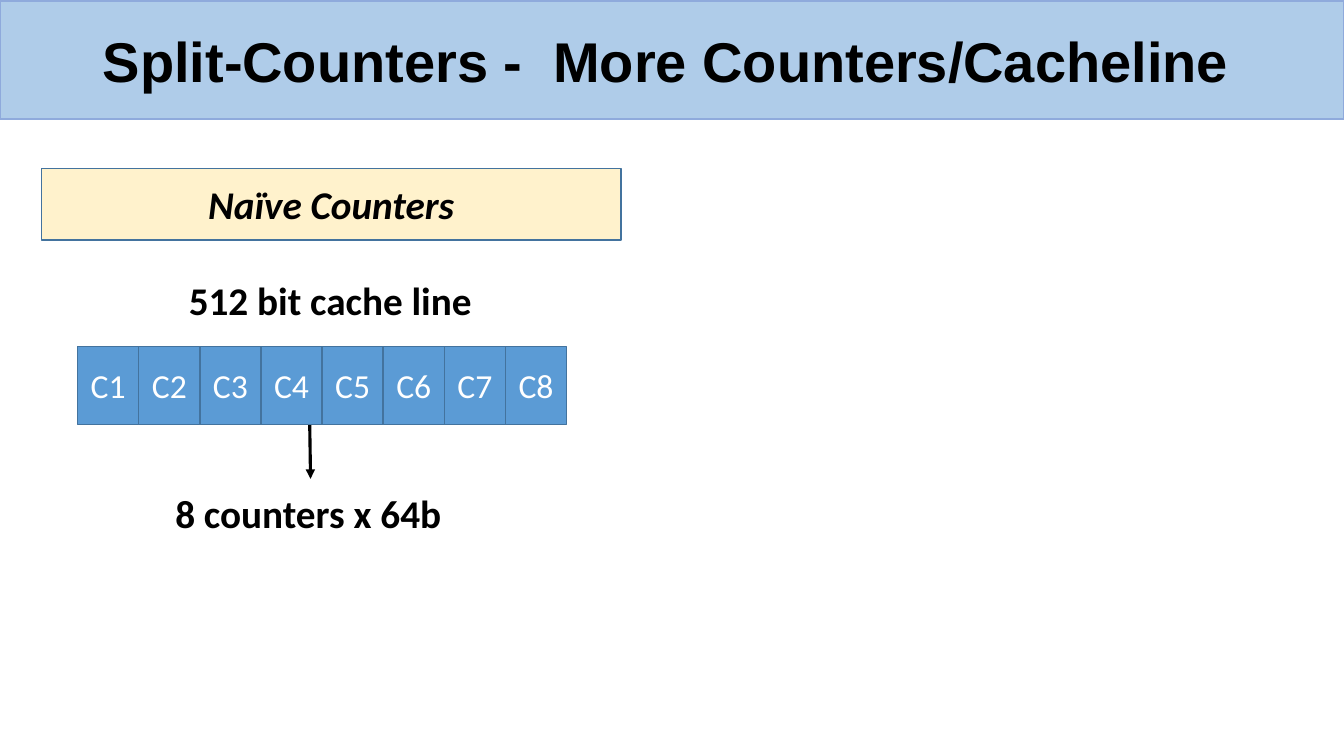
from dataclasses import dataclass

from lxml.etree import SubElement
from pptx import Presentation
from pptx.dml.color import RGBColor
from pptx.enum.shapes import MSO_CONNECTOR, MSO_SHAPE
from pptx.enum.text import MSO_ANCHOR, MSO_AUTO_SIZE, PP_ALIGN
from pptx.oxml.ns import qn
from pptx.util import Inches, Pt


@dataclass(frozen=True)
class Theme:
    black: RGBColor = RGBColor.from_string("000000")
    white: RGBColor = RGBColor.from_string("FFFFFF")
    banner: RGBColor = RGBColor.from_string("AFCCE9")
    banner_line: RGBColor = RGBColor.from_string("8FAADC")
    heading: RGBColor = RGBColor.from_string("FFF2CC")
    counter: RGBColor = RGBColor.from_string("5B9BD5")
    outline: RGBColor = RGBColor.from_string("43739E")
    title_font: str = "Arial"
    body_font: str = "Calibri"
    title_size: Pt = Pt(40)
    label_size: Pt = Pt(28)
    counter_size: Pt = Pt(24)


THEME = Theme()
TITLE = {"name": THEME.title_font, "size": THEME.title_size, "bold": True}
LABEL = {"name": THEME.body_font, "size": THEME.label_size, "bold": True}
HEADING = {**LABEL, "italic": True}
COUNTER = {"name": THEME.body_font, "size": THEME.counter_size}


def write_text(shape, text, font_format, color=THEME.black,
               alignment=PP_ALIGN.CENTER, anchor=MSO_ANCHOR.MIDDLE):
    frame = shape.text_frame
    frame.word_wrap = True
    frame.vertical_anchor = anchor
    paragraph = frame.paragraphs[0]
    paragraph.alignment = alignment
    run = paragraph.add_run()
    run.text = text
    for attribute, value in font_format.items():
        setattr(run.font, attribute, value)
    run.font.color.rgb = color


def add_rectangle(shapes, left, top, width, height, fill, line):
    shape = shapes.add_shape(MSO_SHAPE.RECTANGLE, Inches(left), Inches(top),
                             Inches(width), Inches(height))
    shape.shadow.inherit = False
    shape.fill.solid()
    shape.fill.fore_color.rgb = fill
    shape.line.color.rgb = line
    shape.line.width = Pt(1)
    return shape


def add_label(shapes, left, top, width, height, text, alignment):
    box = shapes.add_textbox(Inches(left), Inches(top), Inches(width), Inches(height))
    write_text(box, text, LABEL, alignment=alignment, anchor=MSO_ANCHOR.TOP)


def add_arrow(shapes, start_x, start_y, end_x, end_y):
    arrow = shapes.add_connector(MSO_CONNECTOR.STRAIGHT, Inches(start_x), Inches(start_y),
                                 Inches(end_x), Inches(end_y))
    arrow.line.color.rgb = THEME.black
    arrow.line.width = Pt(2.25)
    SubElement(arrow.line._get_or_add_ln(), qn("a:tailEnd"), type="triangle")
    SubElement(arrow._element.spPr, qn("a:effectLst"))


def add_title_banner(slide, left, top, width, height):
    add_rectangle(slide.shapes, left, top, width, height, THEME.banner, THEME.banner_line)
    title = slide.shapes.title
    slide.shapes._spTree.append(title._element)  # bring the title in front of the banner
    placement = {"left": left + 0.92, "top": top + 0.24, "width": 11.5, "height": 0.78}
    for attribute, value in placement.items():
        setattr(title, attribute, Inches(value))
    write_text(title, "Split-Counters -  More Counters/Cacheline", TITLE,
               alignment=PP_ALIGN.LEFT)
    title.text_frame.auto_size = MSO_AUTO_SIZE.NONE
    title.text_frame.paragraphs[0].line_spacing = 0.9


def add_cache_line(shapes, left, top, width, height, count=8):
    """Draw one cache line split into equal counters C1, C2, ..."""
    group = shapes.add_group_shape()
    pitch = width / count
    for index in range(count):
        cell = add_rectangle(group.shapes, left + index * pitch, top, pitch, height,
                             THEME.counter, THEME.outline)
        cell.text_frame.margin_left = cell.text_frame.margin_right = 0
        write_text(cell, f"C{index + 1}", COUNTER, THEME.white)


def add_naive_counters(slide, left, top, width):
    shapes = slide.shapes
    add_label(shapes, left + 0.36, top + 1.02, 5.01, 0.57,
              "512 bit cache line", PP_ALIGN.CENTER)
    add_arrow(shapes, left + 2.66, top + 2.4, left + 2.67, top + 3.08)
    heading = add_rectangle(shapes, left, top, width, 0.71, THEME.heading, THEME.outline)
    write_text(heading, "Naïve Counters", HEADING)
    add_cache_line(shapes, left + 0.36, top + 1.77, 4.85, 0.77)
    add_label(shapes, left + 1.23, top + 3.14, 2.86, 0.57,
              "8 counters x 64b", PP_ALIGN.LEFT)


def main():
    presentation = Presentation()
    presentation.slide_width = Inches(13.33)
    presentation.slide_height = Inches(7.5)
    slide = presentation.slides.add_slide(presentation.slide_layouts.get_by_name("Title Only"))
    add_title_banner(slide, 0, 0.01, 13.33, 1.17)
    add_naive_counters(slide, 0.41, 1.67, 5.75)
    presentation.save("out.pptx")


if __name__ == "__main__":
    main()
